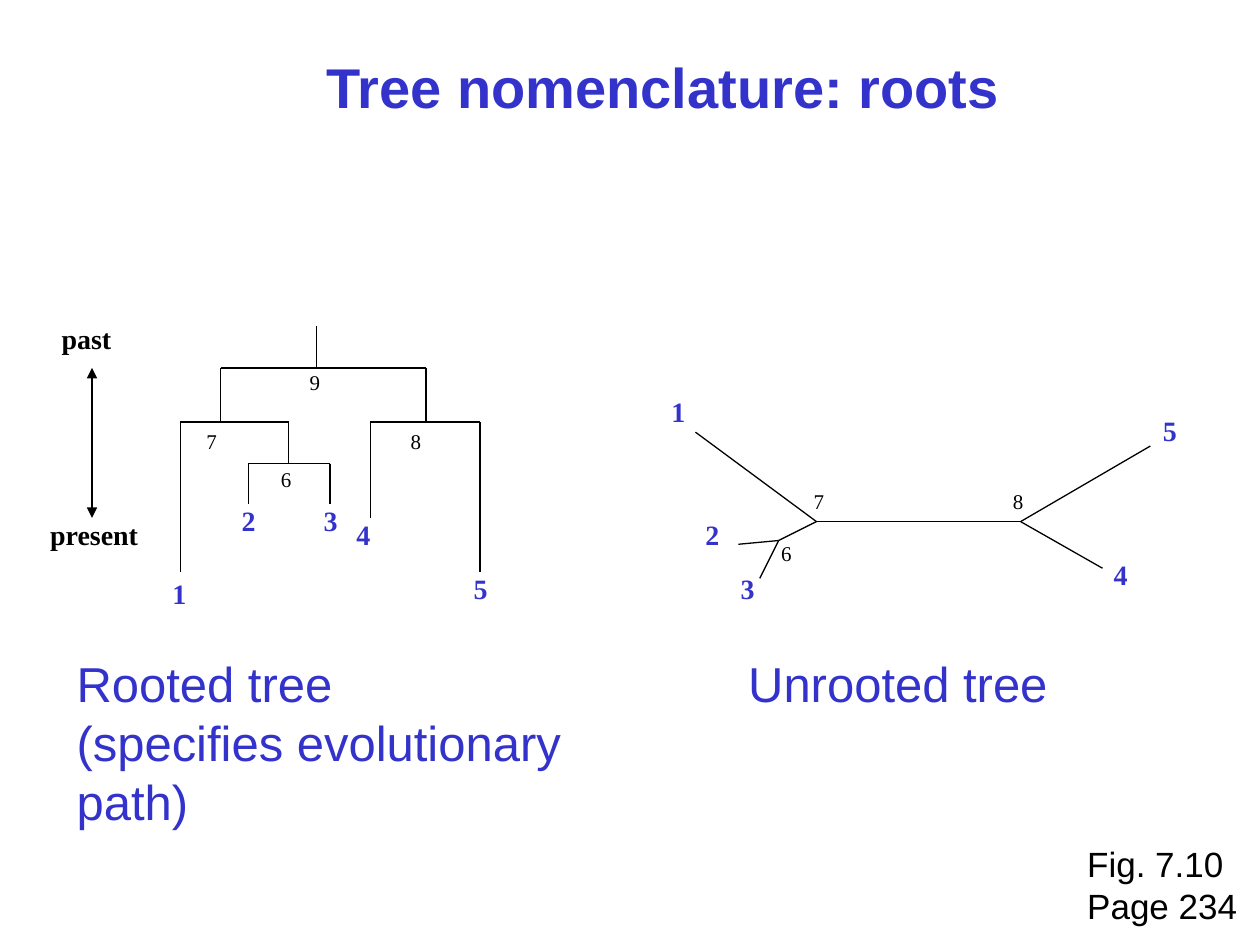
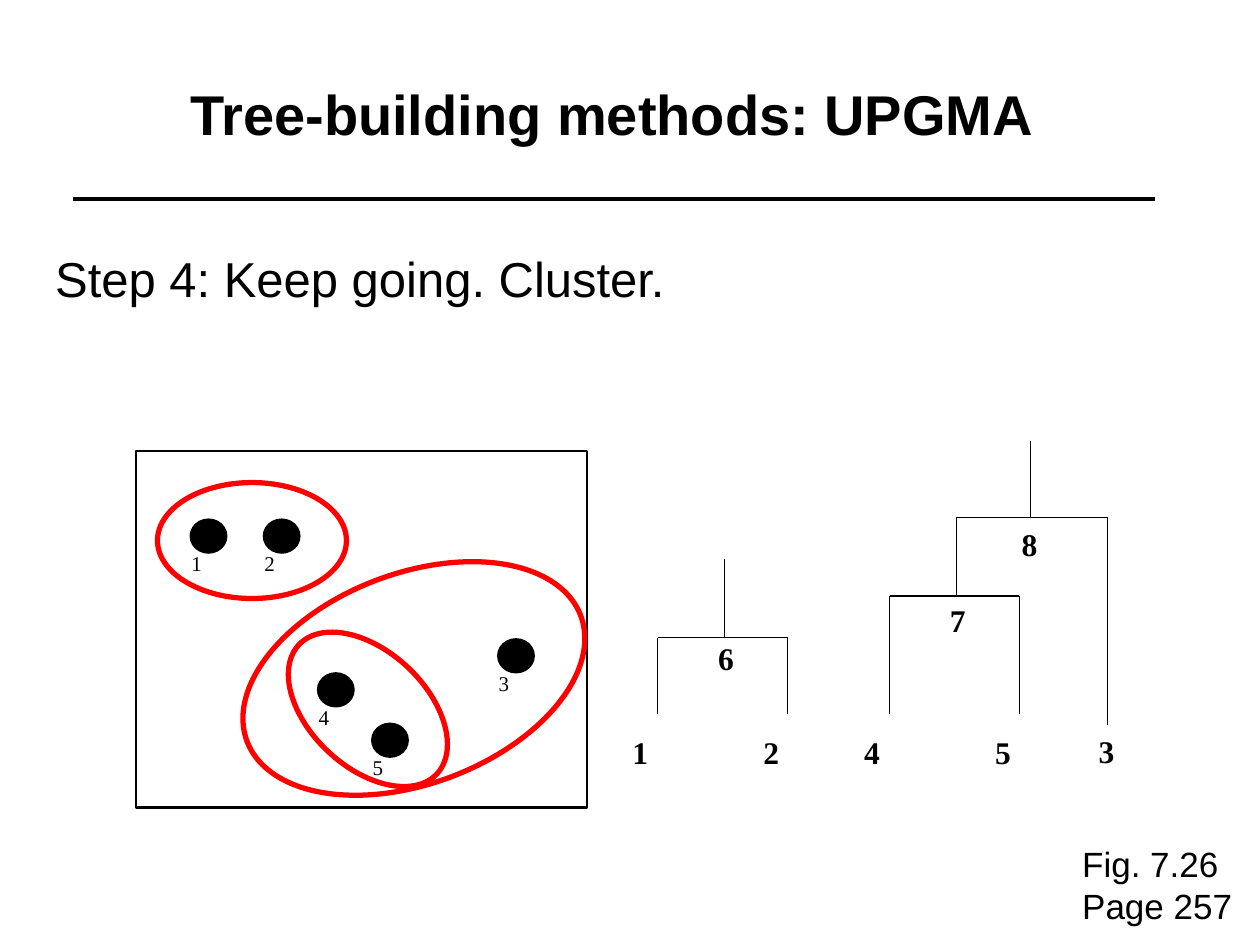
"""Build two slides on phylogenetic trees: rooting and UPGMA clustering."""
from lxml.etree import SubElement
from pptx import Presentation
from pptx.dml.color import RGBColor
from pptx.enum.shapes import MSO_CONNECTOR, MSO_SHAPE
from pptx.enum.text import MSO_ANCHOR, MSO_AUTO_SIZE, PP_ALIGN
from pptx.oxml.ns import qn
from pptx.util import Inches, Pt

BLACK, BLUE, RED = "000000", "3333CC", "FF0000"
SANS, SERIF = "Arial", "Times New Roman"

TITLE = {"name": SANS, "size": Pt(32), "bold": True}
BODY = {"name": SANS, "size": Pt(28), "bold": False}
SOURCE = {"name": SANS, "size": Pt(20), "bold": False}
TAXON = {"name": SERIF, "size": Pt(16), "bold": True}
CLUSTER = {"name": SERIF, "size": Pt(18), "bold": True}
NODE = {"name": SERIF, "size": Pt(12), "bold": False}
TAXON_SIZE, CLUSTER_SIZE, NODE_SIZE = (0.31, 0.37), (0.32, 0.4), (0.28, 0.3)


def rgb(value):
    """Turn a hex string into a colour."""
    return RGBColor.from_string(value)


def write(box, lines, style, colour):
    """Fill a box with left-aligned, unwrapped lines of one style."""
    frame = box.text_frame
    layout = {"word_wrap": False, "auto_size": MSO_AUTO_SIZE.NONE,
              "vertical_anchor": MSO_ANCHOR.TOP}
    for name, value in layout.items():
        setattr(frame, name, value)
    frame.text = "\n".join(lines)
    for para in frame.paragraphs:
        para.alignment = PP_ALIGN.LEFT
        for name, value in style.items():
            setattr(para.font, name, value)
        para.font.color.rgb = rgb(colour)


def add_text(shapes, place, lines, style, colour=BLACK):
    """Add a text box at left, top, width, height."""
    box = shapes.add_textbox(*map(Inches, place))
    write(box, lines, style, colour)


def add_labels(shapes, labels, size, style, colour=BLACK):
    """Add short labels, each given as text, left and top."""
    for text, left, top in labels:
        add_text(shapes, (left, top, *size), [text], style, colour)


def add_line(shapes, start, end, width=0.75, arrows=False):
    """Draw a straight black line, optionally with arrowheads at both ends."""
    line = shapes.add_connector(MSO_CONNECTOR.STRAIGHT, *map(Inches, (*start, *end)))
    line.line.color.rgb = rgb(BLACK)
    line.line.width = Pt(width)
    properties = line._element.spPr
    if arrows:
        outline = properties.find(qn("a:ln"))
        for tag in ("a:headEnd", "a:tailEnd"):
            SubElement(outline, qn(tag), type="triangle")
    SubElement(properties, qn("a:effectLst"))


def add_fork(shapes, left, right, top, left_end, right_end, stem=None):
    """Draw a bar with two branches down and an optional stem up to (x, y)."""
    add_line(shapes, (left, top), (right, top))
    add_line(shapes, (left, top), (left, left_end))
    add_line(shapes, (right, top), (right, right_end))
    if stem:
        add_line(shapes, stem, (stem[0], top))


def add_outline(shapes, kind, place, colour, width, fill=None, rotation=0):
    """Add a preset shape with an outline and an optional fill."""
    shape = shapes.add_shape(kind, *map(Inches, place))
    shape.shadow.inherit = False
    shape.rotation = rotation
    shape.line.color.rgb = rgb(colour)
    shape.line.width = Pt(width)
    if fill:
        shape.fill.solid()
        shape.fill.fore_color.rgb = rgb(fill)
    else:
        shape.fill.background()


def add_page(deck, title, place, colour, source, source_left):
    """Add a title-only slide with its title and its figure source."""
    page = deck.slides.add_slide(deck.slide_layouts.get_by_name("Title Only"))
    box = page.shapes.title
    for name, value in zip(("left", "top", "width", "height"), place):
        setattr(box, name, Inches(value))
    write(box, [title], TITLE, colour)
    add_text(page.shapes, (source_left, 6.64, 1.39, 0.77), source, SOURCE)
    return page


def add_rooted_tree(shapes):
    """Draw the rooted tree with its time arrow."""
    add_line(shapes, (0.73, 2.92), (0.73, 4.11), arrows=True)
    add_text(shapes, (0.39, 2.5, 0.59, 0.37), ["past"], TAXON)
    add_text(shapes, (0.3, 4.06, 0.9, 0.37), ["present"], TAXON)
    add_fork(shapes, 1.75, 3.38, 2.92, 3.35, 3.35, stem=(2.51, 2.59))
    add_fork(shapes, 1.43, 2.29, 3.35, 4.54, 3.68)
    add_fork(shapes, 2.94, 3.81, 3.35, 4.11, 4.54)
    add_fork(shapes, 1.97, 2.62, 3.68, 4, 4)
    taxa = [("1", 1.27, 4.53), ("2", 1.82, 3.95), ("3", 2.47, 3.95),
            ("4", 2.73, 4.06), ("5", 3.66, 4.49)]
    nodes = [("6", 2.13, 3.65), ("7", 1.54, 3.35), ("8", 3.16, 3.35), ("9", 2.36, 2.88)]
    add_labels(shapes, taxa, TAXON_SIZE, TAXON, BLUE)
    add_labels(shapes, nodes, NODE_SIZE, NODE)
    caption = ["Rooted tree", "(specifies evolutionary", "path)"]
    add_text(shapes, (0.51, 5.14, 4.04, 1.5), caption, BODY, BLUE)


def add_unrooted_tree(shapes):
    """Draw the unrooted tree around its three inner nodes."""
    node_6, node_7, node_8 = (6.18, 4.29), (6.48, 4.14), (8.1, 4.14)
    branches = [(node_7, node_8), (node_7, node_6), (node_7, (5.52, 3.43)),
                (node_6, (5.86, 4.32)), (node_6, (6.03, 4.59)),
                (node_8, (8.75, 4.51)), (node_8, (9.13, 3.54))]
    for start, end in branches:
        add_line(shapes, start, end)
    taxa = [("1", 5.23, 3.08), ("2", 5.5, 4.06), ("3", 5.78, 4.49),
            ("4", 8.74, 4.38), ("5", 9.13, 3.23)]
    nodes = [("6", 6.1, 4.24), ("7", 6.36, 3.83), ("8", 7.94, 3.83)]
    add_labels(shapes, taxa, TAXON_SIZE, TAXON, BLUE)
    add_labels(shapes, nodes, NODE_SIZE, NODE)
    add_text(shapes, (5.84, 5.14, 2.57, 0.57), ["Unrooted tree"], BODY, BLUE)


def add_cluster_map(shapes):
    """Draw the numbered points in their frame and circle the clusters."""
    group = shapes.add_group_shape().shapes
    add_outline(group, MSO_SHAPE.RECTANGLE, (1.08, 3.58, 3.58, 2.83), BLACK, 1.5)
    points = [(1.51, 4.12), (2.09, 4.12), (3.95, 5.07), (2.52, 5.34), (2.95, 5.74)]
    for number, (left, top) in enumerate(points, 1):
        add_outline(group, MSO_SHAPE.OVAL, (left, top, 0.29, 0.27), BLACK, 0.75, BLACK)
        add_labels(group, [(str(number), left - 0.09, top + 0.2)], NODE_SIZE, NODE)
    clusters = [((1.25, 3.83, 1.5, 0.92), 0), ((2.17, 5.17, 1.5, 0.92), 43.1),
                ((1.87, 4.55, 2.83, 1.67), 339.4)]
    for place, rotation in clusters:
        add_outline(shapes, MSO_SHAPE.OVAL, place, RED, 3, rotation=rotation)


def add_cluster_trees(shapes):
    """Draw the two trees that the clusters give so far."""
    add_fork(shapes, 5.22, 6.25, 5.06, 5.67, 5.67, stem=(5.75, 4.44))
    add_fork(shapes, 7.06, 8.09, 4.73, 5.67, 5.67)
    add_fork(shapes, 7.59, 8.79, 4.11, 4.73, 5.75, stem=(8.18, 3.5))
    labels = [("1", 4.92, 5.77), ("2", 5.96, 5.77), ("6", 5.6, 5.02),
              ("4", 6.76, 5.77), ("5", 7.8, 5.77), ("7", 7.44, 4.72),
              ("3", 8.62, 5.76), ("8", 8.01, 4.12)]
    add_labels(shapes, labels, CLUSTER_SIZE, CLUSTER)


def main():
    """Build and save the deck."""
    deck = Presentation()
    deck.slide_width, deck.slide_height = Inches(10), Inches(7.5)

    roots = add_page(deck, "Tree nomenclature: roots", (2.49, 0.37, 5.56, 0.64), BLUE,
                     ["Fig. 7.10", "Page 234"], 8.53)
    add_rooted_tree(roots.shapes)
    add_unrooted_tree(roots.shapes)

    upgma = add_page(deck, "Tree-building methods: UPGMA", (1.41, 0.58, 6.92, 0.64), BLACK,
                     ["Fig. 7.26", "Page 257"], 8.49)
    add_line(upgma.shapes, (0.58, 1.58), (9.17, 1.58), width=2.25)
    add_text(upgma.shapes, (0.34, 1.92, 5.16, 0.57), ["Step 4: Keep going. Cluster."], BODY)
    add_cluster_map(upgma.shapes)
    add_cluster_trees(upgma.shapes)

    deck.save("out.pptx")


if __name__ == "__main__":
    main()
